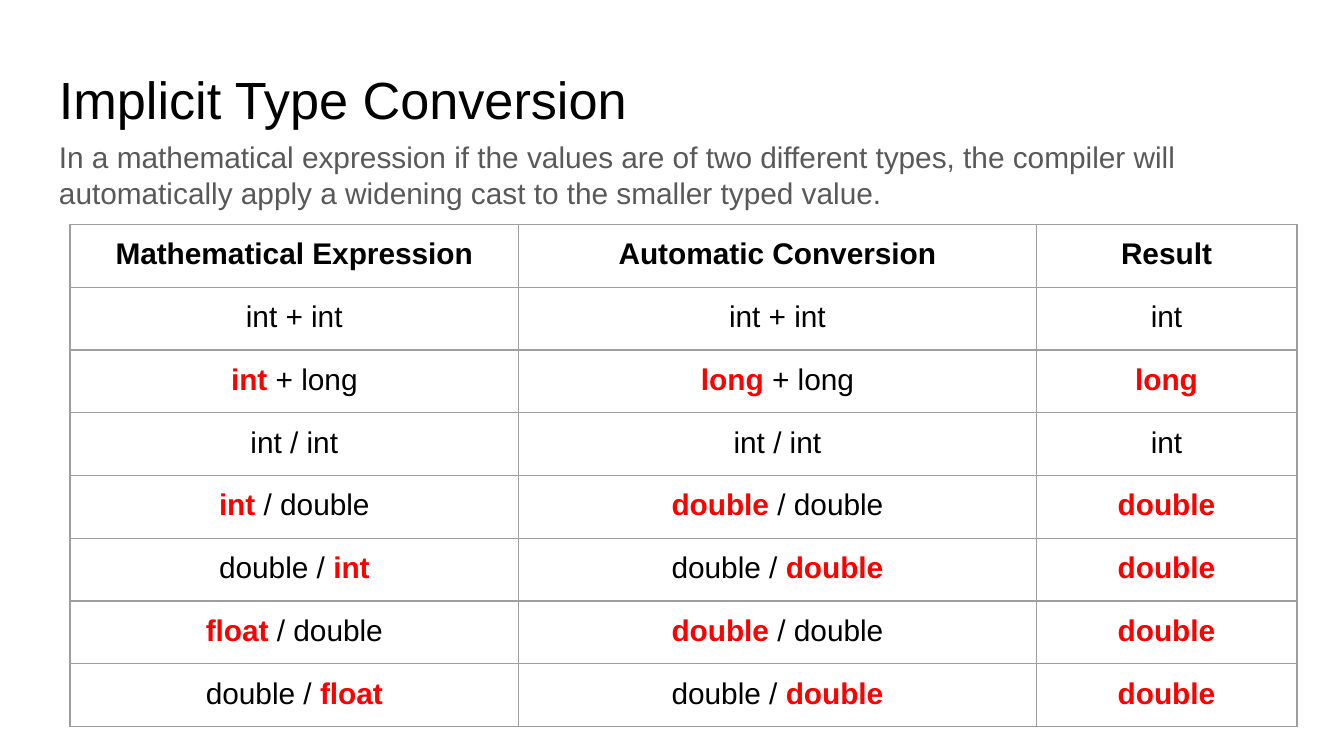
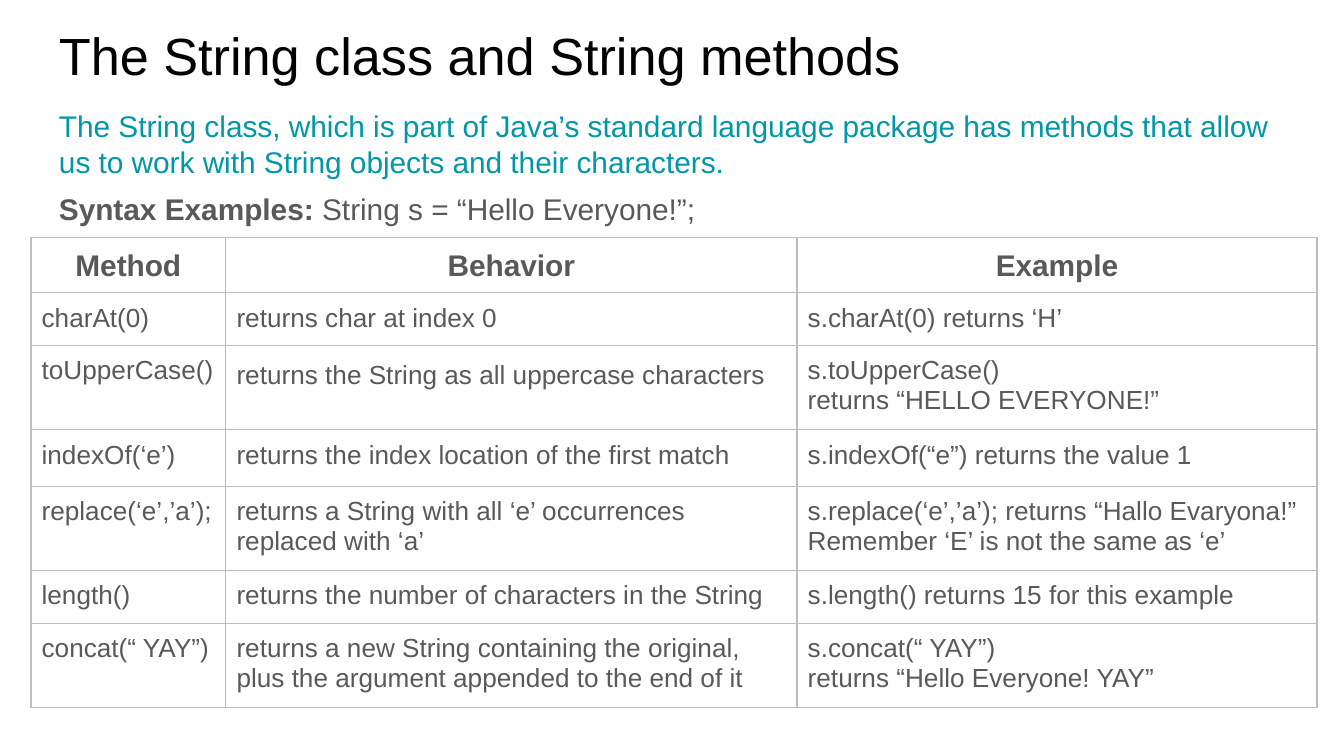
import pptx
import pptx.util
import pptx.dml.color
import pptx.enum.text
from lxml import etree

# Shared style; text between asterisks takes the accent format
W = 10
H = W * 9 / 16
LEFT, WIDTH = 0.34, 9.32
FRAME = 3.28  # nominal table frame; columns and rows set the drawn size
FONT = "Arial"
BLACK, GREY, RED, TEAL = "000000", "595959", "FF0000", "0097A7"
CENTER = pptx.enum.text.PP_ALIGN.CENTER
NS = "http://schemas.openxmlformats.org/drawingml/2006/main"

# Slide 1 content
CONVERSION_TITLE = "Implicit Type Conversion"
CONVERSION_INTRO = (
    "In a mathematical expression if the values are of two different types, "
    "the compiler will automatically apply a widening cast to the smaller typed value.")
CONVERSIONS = [
    ("Mathematical Expression", "Automatic Conversion", "Result"),
    ("int + int", "int + int", "int"),
    ("*int* + long", "*long* + long", "*long*"),
    ("int / int", "int / int", "int"),
    ("*int* / double", "*double* / double", "*double*"),
    ("double / *int*", "double / *double*", "*double*"),
    ("*float* / double", "*double* / double", "*double*"),
    ("double / *float*", "double / *double*", "*double*"),
]

# Slide 2 content
STRING_TITLE = "The String class and String methods"
STRING_INTRO = (
    "The String class, which is part of Java’s standard language package has "
    "methods that allow us to work with String objects and their characters.")
STRING_SYNTAX = "*Syntax Examples:* String s = “Hello Everyone!”;"
METHODS = [
    ("Method", "Behavior", "Example"),
    ("charAt(0)", "returns char at index 0", "s.charAt(0) returns ‘H’"),
    ("toUpperCase()", "returns the String as all uppercase characters",
     "s.toUpperCase()\nreturns “HELLO EVERYONE!”"),
    ("indexOf(‘e’)", "returns the index location of the first match",
     "s.indexOf(“e”) returns the value 1"),
    ("replace(‘e’,’a’);", "returns a String with all ‘e’ occurrences replaced with ‘a’",
     "s.replace(‘e’,’a’); returns “Hallo Evaryona!”\nRemember ‘E’ is not the same as ‘e’"),
    ("length()", "returns the number of characters in the String",
     "s.length() returns 15 for this example"),
    ("concat(“ YAY”)",
     "returns a new String containing the original, plus the argument appended to the end of it",
     "s.concat(“ YAY”)\nreturns “Hello Everyone! YAY”"),
]


def inch(value):
    return pptx.util.Inches(value)


def color(value):
    return pptx.dml.color.RGBColor.from_string(value)


def write(tf, text, size=16, fill=GREY, accent=None, bold=False, align=None, spacing=None):
    """Fill a text frame: one paragraph a line, accented runs between asterisks."""
    for i, line in enumerate(text.split("\n")):
        p = tf.add_paragraph() if i else tf.paragraphs[0]
        p.alignment = align
        p.line_spacing = spacing
        for j, part in enumerate(line.split("*")):
            if not part:
                continue
            marked = j % 2 == 1
            r = p.add_run()
            r.text = part
            r.font.name = FONT
            r.font.size = pptx.util.Pt(size)
            r.font.bold = bold or marked
            r.font.color.rgb = color(accent if marked and accent else fill)


def add_text(s, text, top, height, **fmt):
    tf = s.shapes.add_textbox(inch(LEFT), inch(top), inch(WIDTH), inch(height)).text_frame
    tf.word_wrap = True
    tf.margin_left = tf.margin_right = tf.margin_top = tf.margin_bottom = inch(0.1)
    write(tf, text, **fmt)


def add_border(cell, line):
    tc_pr = cell._tc.get_or_add_tcPr()
    for i, side in enumerate(("lnL", "lnR", "lnT", "lnB")):
        ln = etree.Element(f"{{{NS}}}{side}", w=str(pptx.util.Pt(0.75)))
        fill = etree.SubElement(ln, f"{{{NS}}}solidFill")
        etree.SubElement(fill, f"{{{NS}}}srgbClr", val=line)
        tc_pr.insert(i, ln)


def add_table(s, rows, left, top, widths, heights, line, style):
    """Draw a plain grid; style(row, column) gives the cell margin and text format."""
    sp = s.shapes.add_table(len(rows), len(widths), inch(left), inch(top),
                            inch(FRAME), inch(FRAME))
    table = sp.table
    table.first_row = table.horz_banding = False
    for column, width in zip(table.columns, widths):
        column.width = inch(width)
    for i, (row, height) in enumerate(zip(rows, heights)):
        table.rows[i].height = inch(height)
        for j, text in enumerate(row):
            cell = table.cell(i, j)
            margin, fmt = style(i, j)
            cell.margin_left = cell.margin_right = inch(margin)
            cell.margin_top = cell.margin_bottom = inch(margin)
            cell.fill.background()
            add_border(cell, line)
            write(cell.text_frame, text, **fmt)
    sp.width = sp.height = inch(FRAME)


def add_slide(prs, title, top):
    s = prs.slides.add_slide(prs.slide_layouts[6])
    add_text(s, title, top, 0.63, size=28, fill=BLACK)
    return s


def conversion_style(row, column):
    return 0.1, dict(fill=BLACK, accent=RED, bold=row == 0, align=CENTER)


def method_style(row, column):
    if row == 0:
        return 0.05, dict(bold=True, align=CENTER, spacing=1.15)
    return 0.08, dict(size=14, spacing=1.15 if (row, column) == (2, 1) else None)


def main():
    prs = pptx.Presentation()
    prs.slide_width, prs.slide_height = inch(W), inch(H)

    # Type conversion
    s = add_slide(prs, CONVERSION_TITLE, 0.4)
    add_text(s, CONVERSION_INTRO, 0.93, 0.63)
    add_table(s, CONVERSIONS, 0.52, 1.67, (3.34, 3.85, 1.94),
              [0.43] * len(CONVERSIONS), "9E9E9E", conversion_style)

    # String methods
    s = add_slide(prs, STRING_TITLE, 0.07)
    add_text(s, STRING_SYNTAX, 1.32, 0.55)
    add_text(s, STRING_INTRO, 0.7, 0.71, fill=TEAL)
    add_table(s, METHODS, 0.23, 1.77, (1.45, 4.25, 3.87),
              (0.4, 0.39, 0.62, 0.42, 0.62, 0.37, 0.59), "BDBDBD", method_style)

    prs.save("out.pptx")


if __name__ == "__main__":
    main()
